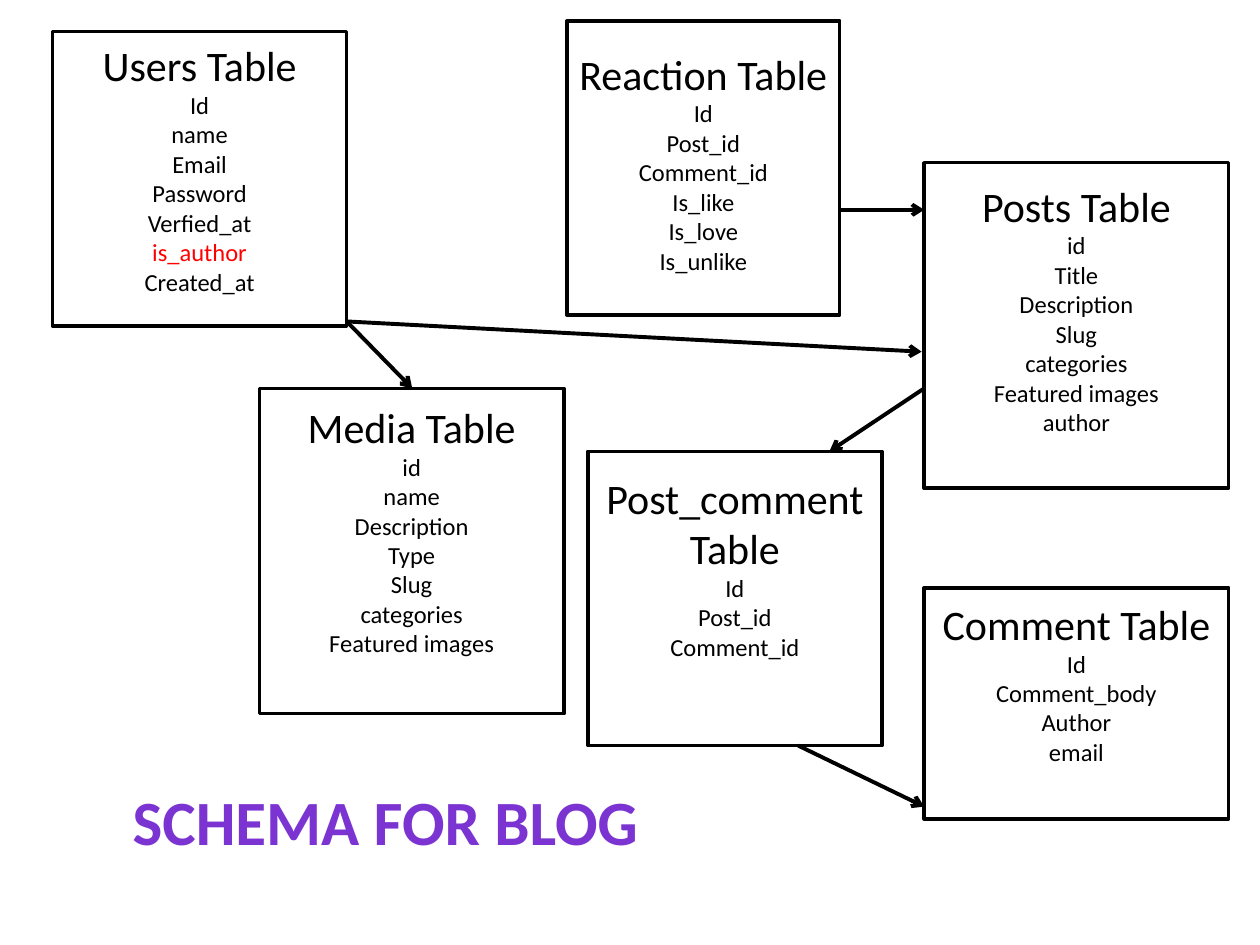
from lxml import etree
from pptx import Presentation
from pptx.dml.color import RGBColor
from pptx.enum.shapes import MSO_CONNECTOR, MSO_SHAPE
from pptx.enum.text import MSO_ANCHOR, PP_ALIGN
from pptx.oxml.ns import qn
from pptx.util import Cm, Pt

RECTANGLE = MSO_SHAPE.RECTANGLE
STRAIGHT = MSO_CONNECTOR.STRAIGHT
TOP = MSO_ANCHOR.TOP
CENTER = PP_ALIGN.CENTER

FONT = "Calibri"
COLORS = {"ink": "000000", "paper": "FFFFFF", "new": "FF0000", "title": "7B34D2"}
HEADING = "SCHEMA FOR BLOG"
HIGHLIGHTED = {"is_author"}

# Table name, (left, top, width, height) in cm, space above the name in cm, fields
TABLES = [
    ("Posts Table", (18.63, 3.28, 6.14, 6.56), 0.35,
     ["id", "Title", "Description", "Slug", "categories", "Featured images", "author"]),
    ("Reaction Table", (11.43, 0.42, 5.5, 5.93), 0.55,
     ["Id", "Post_id", "Comment_id", "Is_like", "Is_love", "Is_unlike"]),
    ("Post_comment Table", (11.85, 9.1, 5.93, 5.93), 0.42,
     ["Id", "Post_id", "Comment_id"]),
    ("Comment Table", (18.63, 11.85, 6.14, 4.66), 0.21,
     ["Id", "Comment_body", "Author", "email"]),
    ("Users Table", (1.06, 0.64, 5.93, 5.93), 0.16,
     ["Id", "name", "Email", "Password", "Verfied_at", "is_author", "Created_at"]),
    ("Media Table", (5.23, 7.83, 6.14, 6.56), 0.26,
     ["id", "name", "Description", "Type", "Slug", "categories", "Featured images"]),
]

# Arrow start and end points in cm
ARROWS = [
    ((16.93, 4.23), (18.63, 4.23)),   # Reaction to Posts
    ((18.63, 7.83), (16.72, 9.1)),    # Posts to Post_comment
    ((16.09, 15.03), (18.63, 16.26)), # Post_comment to Comment
    ((6.99, 6.48), (18.58, 7.09)),    # Users to Posts
    ((6.99, 6.48), (8.31, 7.83)),     # Users to Media
]


def color(name):
    return RGBColor.from_string(COLORS[name])


def write_lines(text_frame, lines):
    """Write one centred paragraph for each (text, size, colour, bold)."""
    text_frame.word_wrap = True
    for index, (text, size, color_name, bold) in enumerate(lines):
        paragraph = text_frame.add_paragraph() if index else text_frame.paragraphs[0]
        paragraph.alignment = CENTER
        run = paragraph.add_run()
        run.text = text
        run.font.name = FONT
        run.font.size = Pt(size)
        run.font.bold = bold
        run.font.color.rgb = color(color_name)


def add_table_box(slide, name, box, space_above, fields):
    shape = slide.shapes.add_shape(RECTANGLE, *map(Cm, box))
    shape.shadow.inherit = False
    shape.fill.solid()
    shape.fill.fore_color.rgb = color("paper")
    shape.line.color.rgb = color("ink")
    shape.line.width = Pt(2)
    text_frame = shape.text_frame
    text_frame.vertical_anchor = TOP
    text_frame.margin_top = Cm(space_above)
    lines = [(name, 24, "ink", False)]
    for field in fields:
        lines.append((field, 14, "new" if field in HIGHLIGHTED else "ink", False))
    write_lines(text_frame, lines)


def add_arrow(slide, start, end):
    connector = slide.shapes.add_connector(STRAIGHT, *map(Cm, start + end))
    connector.line.color.rgb = color("ink")
    connector.line.width = Pt(2.25)
    etree.SubElement(connector.line._get_or_add_ln(), qn("a:tailEnd"), type="arrow")
    etree.SubElement(connector._element.spPr, qn("a:effectLst"))


def main():
    presentation = Presentation()
    presentation.slide_width, presentation.slide_height = Cm(25.4), Cm(19.05)
    slide = presentation.slides.add_slide(presentation.slide_layouts[6])

    # Schema diagram
    for table in TABLES:
        add_table_box(slide, *table)
    for start, end in ARROWS:
        add_arrow(slide, start, end)

    # Heading
    heading = slide.shapes.add_textbox(Cm(0.42), Cm(15.65), Cm(14.7), Cm(1.8))
    write_lines(heading.text_frame, [(HEADING, 36, "title", True)])

    presentation.save("out.pptx")


if __name__ == "__main__":
    main()
